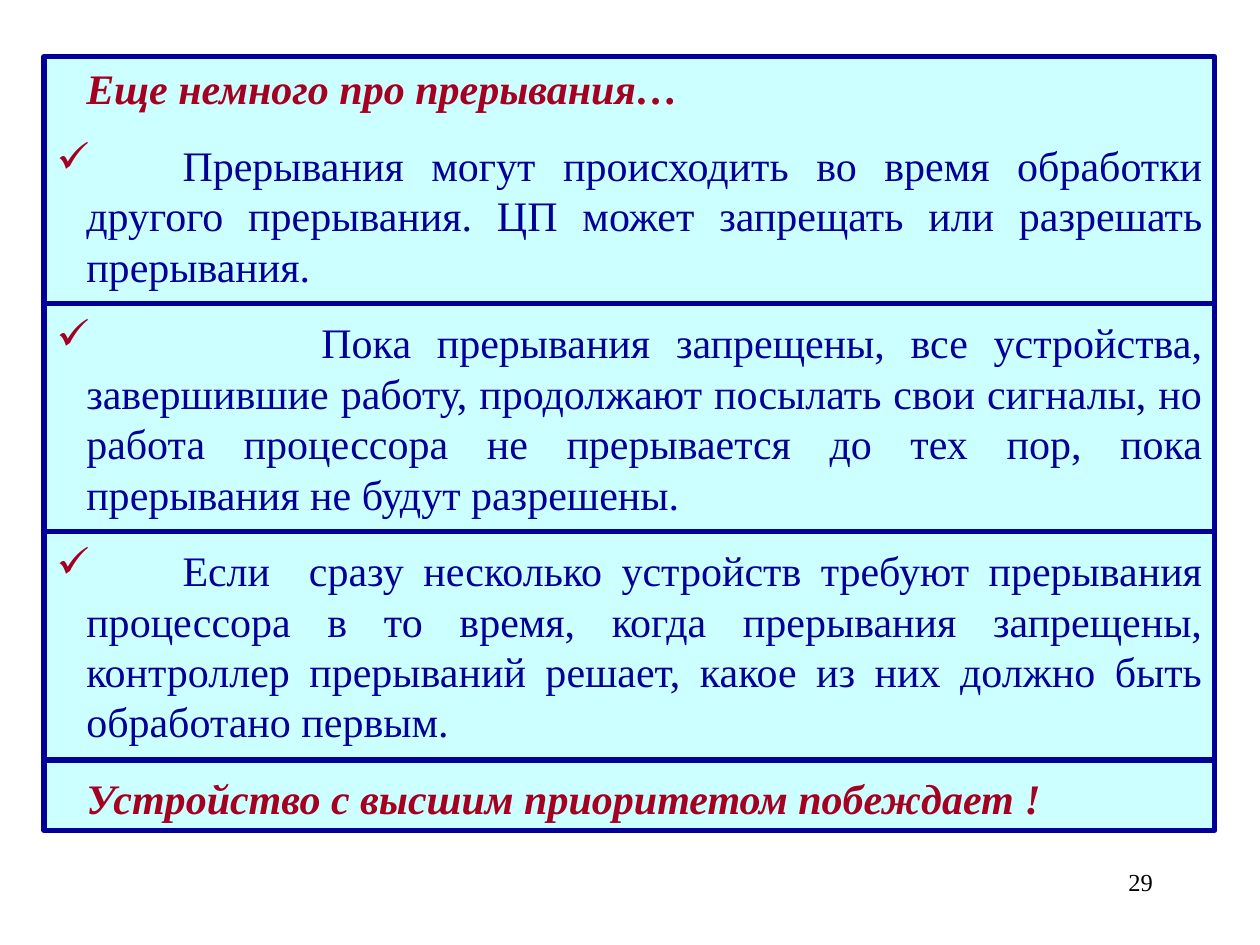
"""Builds a slide of framed notes about processor interrupts."""
import pptx
import pptx.dml.color
import pptx.enum.shapes
import pptx.enum.text
import pptx.oxml.ns
import pptx.util
from lxml import etree
from pptx.util import Cm, Pt

THEME = {
    "font": "Times New Roman",
    "panel": "CCFFFF",
    "text": "000099",
    "accent": "A50021",
    "number": "000000",
    "body_size": 24,
    "number_size": 14,
    "line_width": 3,
}
NOTES = [
    ("Еще немного про прерывания…", True, 2.54),
    ("Прерывания могут происходить во время обработки другого прерывания. "
     "ЦП может запрещать или разрешать прерывания.", False, 2.54),
    ("Пока прерывания запрещены, все устройства, завершившие работу, продолжают "
     "посылать свои сигналы, но работа процессора не прерывается до тех пор, "
     "пока прерывания не будут разрешены.", False, 5.34),
    ("Если  сразу несколько устройств требуют прерывания процессора в то время, "
     "когда прерывания запрещены, контроллер прерываний решает, какое из них "
     "должно быть обработано первым.", False, 2.54),
    ("Устройство с высшим приоритетом побеждает !", True, 2.54),
]
LEFT, TOP, WIDTH, HEIGHT = Cm(0.89), Cm(1.14), Cm(23.6), Cm(15.6)
HANGING = Cm(0.6)


def color(name):
    return pptx.dml.color.RGBColor.from_string(THEME[name])


def add_element(parent, tag, **attributes):
    element = etree.SubElement(parent, pptx.oxml.ns.qn(tag))
    for name, value in attributes.items():
        element.set(name, str(value))
    return element


presentation = pptx.Presentation()
presentation.slide_width, presentation.slide_height = Cm(25.4), Cm(19.05)
slide = presentation.slides.add_slide(presentation.slide_layouts[6])

panel = slide.shapes.add_shape(
    pptx.enum.shapes.MSO_SHAPE.RECTANGLE, LEFT, TOP, WIDTH, HEIGHT)
panel.shadow.inherit = False
panel.fill.solid()
panel.fill.fore_color.rgb = color("panel")
panel.line.color.rgb = color("text")
panel.line.width = Pt(THEME["line_width"])

text_frame = panel.text_frame
text_frame.word_wrap = True
text_frame.vertical_anchor = pptx.enum.text.MSO_ANCHOR.TOP
text_frame.text = "\n".join("\t" + text for text, highlighted, tab in NOTES)
for paragraph, (text, highlighted, tab) in zip(text_frame.paragraphs, NOTES):
    paragraph.alignment = pptx.enum.text.PP_ALIGN.JUSTIFY
    paragraph.space_before = Pt(15)
    properties = paragraph._p.get_or_add_pPr()
    properties.set("marL", str(HANGING))
    properties.set("indent", str(-HANGING))
    if highlighted:
        add_element(properties, "a:buNone")
    else:
        bullet_color = add_element(properties, "a:buClr")
        add_element(bullet_color, "a:srgbClr", val=THEME["accent"])
        add_element(properties, "a:buChar", char="✓")
    tabs = add_element(properties, "a:tabLst")
    add_element(tabs, "a:tab", pos=Cm(tab), algn="l")
    for run in paragraph.runs:
        run.font.name = THEME["font"]
        run.font.size = Pt(THEME["body_size"])
        run.font.bold = run.font.italic = highlighted
        run.font.color.rgb = color("accent" if highlighted else "text")

for row in range(3):
    height = Cm(6.12 + 4.6 * row)
    divider = slide.shapes.add_connector(
        pptx.enum.shapes.MSO_CONNECTOR.STRAIGHT, LEFT, height, LEFT + WIDTH, height)
    divider.line.color.rgb = color("text")
    divider.line.width = Pt(THEME["line_width"])
    add_element(divider._element.spPr, "a:effectLst")

number = slide.shapes.add_textbox(Cm(18.21), Cm(17.35), Cm(5.28), Cm(1.27))
number.text_frame.word_wrap = True
number.text_frame.text = "29"
paragraph = number.text_frame.paragraphs[0]
paragraph.alignment = pptx.enum.text.PP_ALIGN.RIGHT
font = paragraph.runs[0].font
font.name = THEME["font"]
font.size = Pt(THEME["number_size"])
font.color.rgb = color("number")

presentation.save("out.pptx")
